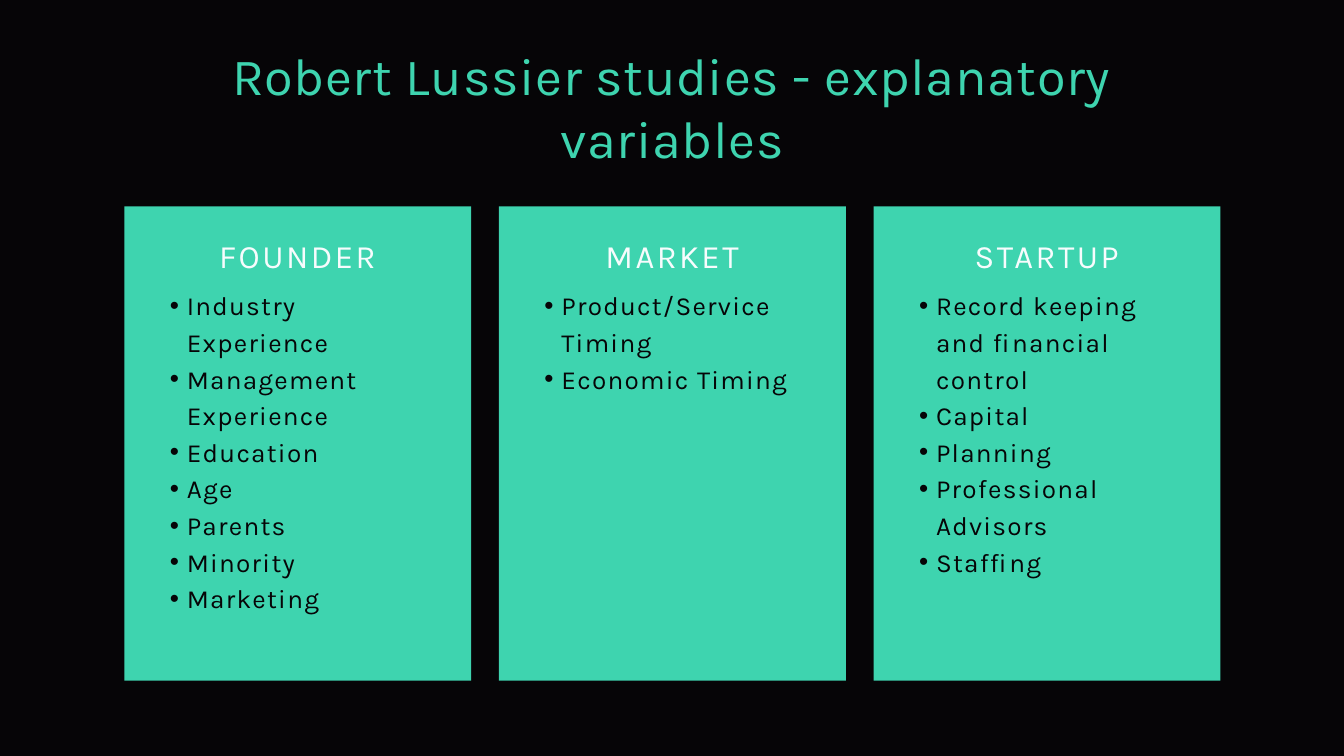
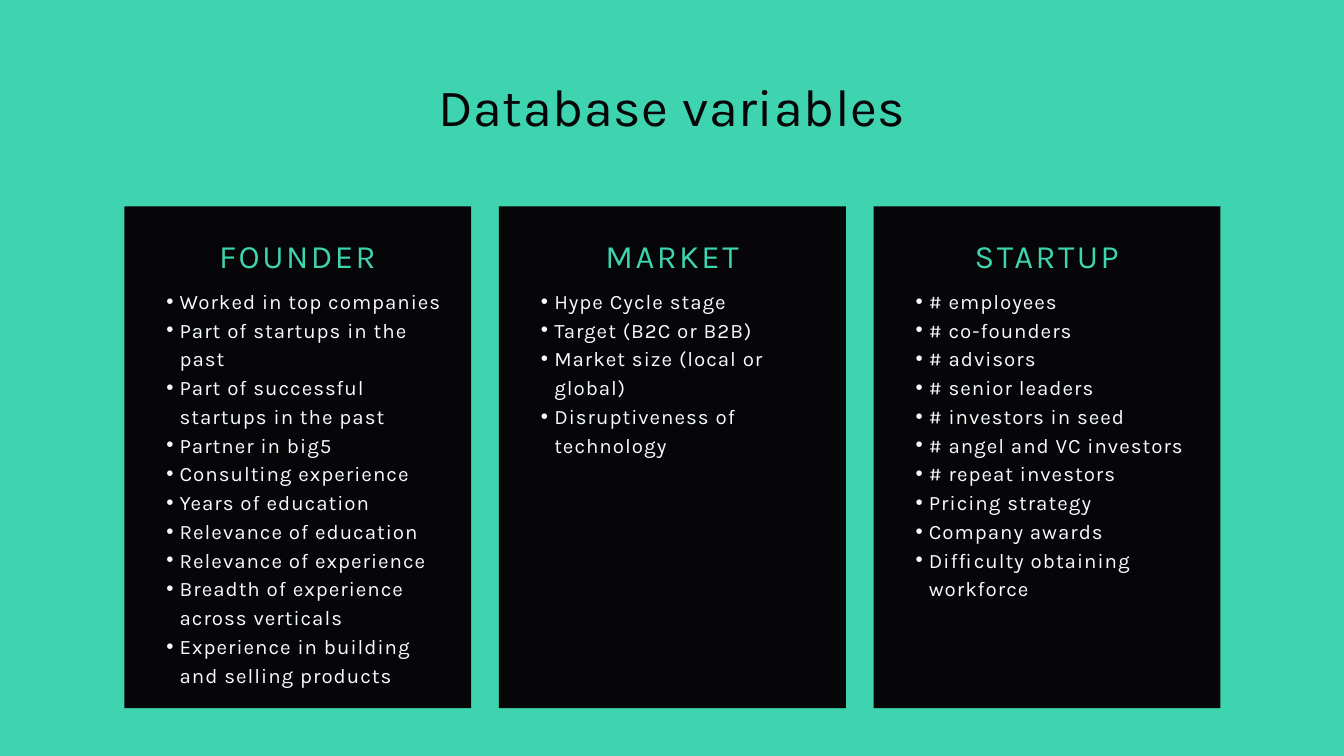
from lxml import etree
from pptx import Presentation
from pptx import util as u
from pptx.dml.color import RGBColor
from pptx.enum import shapes, text
from pptx.oxml import ns

COLORS = {"black": "060507", "green": "3ED4AF", "white": "F7FCFD"}
FONT = "Karla"
COMPARISON = 4
CARD_LEFT, CARD_TOP, CARD_WIDTH, CARD_PITCH = 4.7, 7.8, 13.11, 14.16
INSET, COLUMN_WIDTH = 1.08, 10.93

VARIABLE_SLIDES = [
    {
        "title": "Robert Lussier studies - explanatory variables",
        "title_top": 1.63, "title_height": 4.8,
        "background": "black", "title_color": "green", "card": "green",
        "heading": "white", "item": "black",
        "card_height": 17.93, "size": 28, "spacing": 39.2, "indent": 1.28,
        "columns": [
            ("FOUNDER", 10.72, ["Industry Experience", "Management Experience", "Education",
                                "Age", "Parents", "Minority", "Marketing"]),
            ("MARKET", 3.96, ["Product/Service Timing", "Economic Timing"]),
            ("STARTUP", 9.37, ["Record keeping and financial control", "Capital", "Planning",
                               "Professional Advisors", "Staffing"]),
        ],
    },
    {
        "title": "Database variables",
        "title_top": 2.82, "title_height": 2.41,
        "background": "green", "title_color": "black", "card": "black",
        "heading": "green", "item": "white",
        "card_height": 18.97, "size": 22, "spacing": 30.8, "indent": 1.01,
        "columns": [
            ("FOUNDER", 13.69, ["Worked in top companies", "Part of startups in the past",
                                "Part of successful startups in the past", "Partner in big5",
                                "Consulting experience", "Years of education",
                                "Relevance of education", "Relevance of experience",
                                "Breadth of experience across verticals",
                                "Experience in building and selling products"]),
            ("MARKET", 5.21, ["Hype Cycle stage", "Target (B2C or B2B)",
                              "Market size (local or global)", "Disruptiveness of technology"]),
            ("STARTUP", 11.56, ["# employees", "# co-founders", "# advisors", "# senior leaders",
                                "# investors in seed", "# angel and VC investors",
                                "# repeat investors", "Pricing strategy", "Company awards",
                                "Difficulty obtaining workforce"]),
        ],
    },
]


class VariableDeck:
    """Holds the deck's style and the slide being built."""

    def __init__(self):
        self.deck = Presentation()
        self.deck.slide_width, self.deck.slide_height = u.Cm(50.8), u.Cm(28.58)
        self.slide = None

    def new_slide(self, background):
        self.slide = self.deck.slides.add_slide(self.deck.slide_layouts[COMPARISON])
        self.paint(self.slide.background.fill, background)

    def paint(self, fill, color):
        fill.solid()
        fill.fore_color.rgb = RGBColor.from_string(COLORS[color])

    def place(self, holder, left, top, width, height):
        holder.left, holder.top = u.Cm(left), u.Cm(top)
        holder.width, holder.height = u.Cm(width), u.Cm(height)
        frame = holder.text_frame
        frame.margin_left = frame.margin_right = frame.margin_top = frame.margin_bottom = 0
        frame.word_wrap = True
        frame.auto_size = text.MSO_AUTO_SIZE.SHAPE_TO_FIT_TEXT
        frame.vertical_anchor = text.MSO_ANCHOR.TOP
        return frame

    def add_words(self, paragraph, words, size, color, line, tracking, align):
        paragraph.alignment = align
        paragraph.line_spacing = u.Pt(line)
        paragraph.space_before = u.Pt(0)
        run = paragraph.add_run()
        run.text = words
        run.font.name, run.font.size, run.font.bold = FONT, u.Pt(size), False
        run.font.color.rgb = RGBColor.from_string(COLORS[color])
        run._r.get_or_add_rPr().set("spc", str(round(tracking * 100)))

    def title(self, words, top, height, color):
        frame = self.place(self.slide.shapes.title, 7.54, top, 35.74, height)
        self.add_words(frame.paragraphs[0], words, 56, color, 67.2, 0.7, text.PP_ALIGN.CENTER)

    def card(self, left, height, color, behind):
        card = self.slide.shapes.add_shape(
            shapes.MSO_SHAPE.RECTANGLE, u.Cm(left), u.Cm(CARD_TOP), u.Cm(CARD_WIDTH), u.Cm(height))
        card.shadow.inherit = False
        self.paint(card.fill, color)
        card.line.fill.background()
        behind.element.addprevious(card.element)

    def heading(self, words, left, color):
        box = self.slide.shapes.add_textbox(0, 0, 0, 0)
        frame = self.place(box, left, 8.84, COLUMN_WIDTH, 1.5)
        self.add_words(frame.paragraphs[0], words, 35, color, 43.8, 2.6, text.PP_ALIGN.CENTER)

    def bullet(self, paragraph, indent):
        paragraph.level = 1
        props = paragraph._p.get_or_add_pPr()
        props.set("marL", str(u.Cm(indent)))
        props.set("indent", str(-u.Cm(indent / 2)))
        etree.SubElement(props, ns.qn("a:buFont"), typeface="Arial")
        etree.SubElement(props, ns.qn("a:buChar"), char="•")

    def bullet_list(self, holder, items, left, height, style):
        frame = self.place(holder, left, 10.76, COLUMN_WIDTH, height)
        for number, item in enumerate(items):
            paragraph = frame.add_paragraph() if number else frame.paragraphs[0]
            self.bullet(paragraph, style["indent"])
            self.add_words(paragraph, item, style["size"], style["item"], style["spacing"],
                           style["size"] / 20, text.PP_ALIGN.LEFT)

    def variable_slide(self, style):
        self.new_slide(style["background"])
        self.title(style["title"], style["title_top"], style["title_height"], style["title_color"])
        bodies = [holder for holder in self.slide.placeholders
                  if holder.placeholder_format.idx in (1, 2, 3, 4)]
        for number, (heading, height, items) in enumerate(style["columns"]):
            left = CARD_LEFT + number * CARD_PITCH
            self.card(left, style["card_height"], style["card"], bodies[number])
            self.heading(heading, left + INSET, style["heading"])
            self.bullet_list(bodies[number], items, left + INSET, height, style)
        for spare in bodies[len(style["columns"]):]:
            spare.element.getparent().remove(spare.element)


def main():
    builder = VariableDeck()
    for style in VARIABLE_SLIDES:
        builder.variable_slide(style)
    builder.deck.save("out.pptx")


if __name__ == "__main__":
    main()
